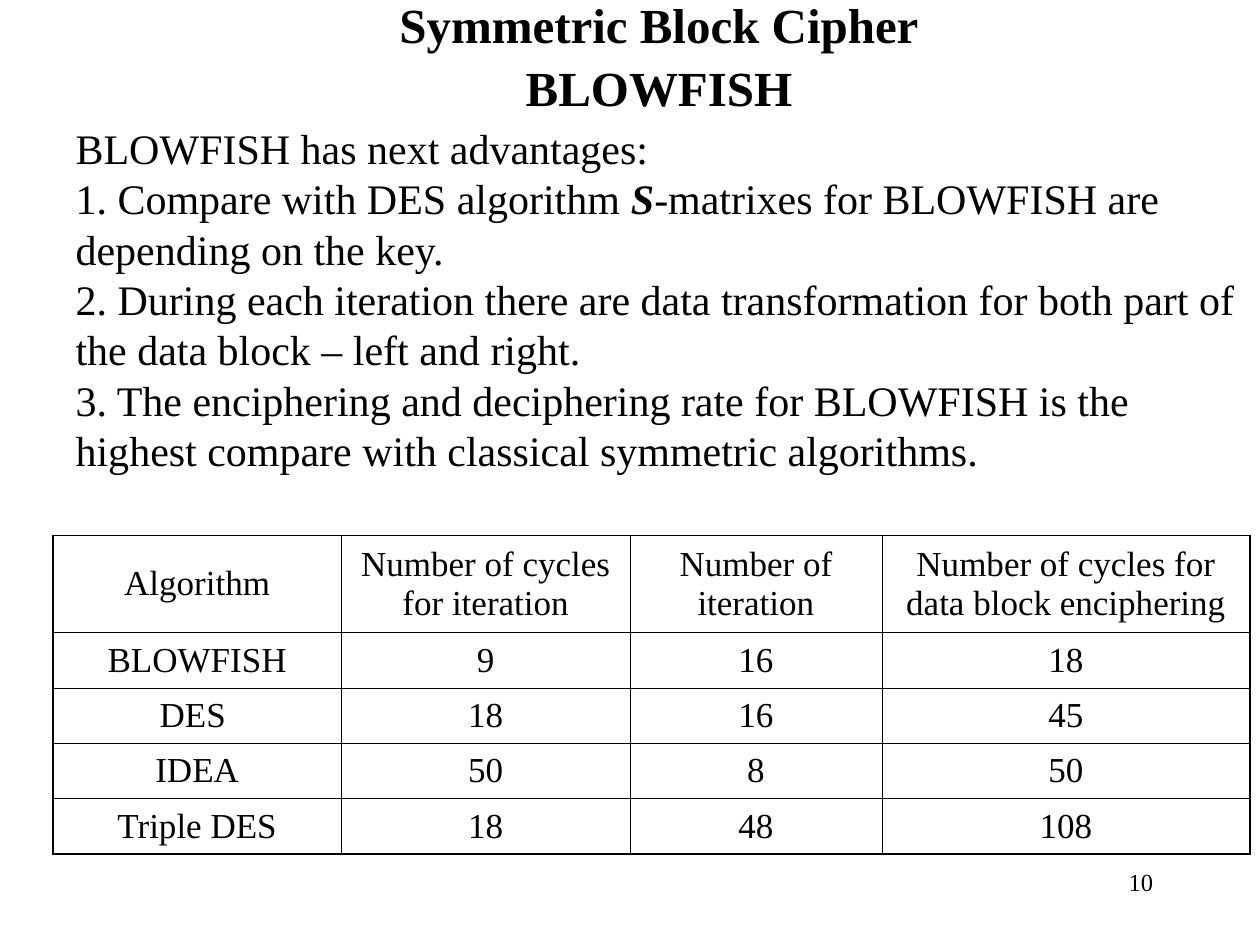
import pptx
import pptx.util
import pptx.dml.color
import pptx.enum.text
import pptx.oxml.ns
from lxml import etree

Inches, Pt = pptx.util.Inches, pptx.util.Pt
ALIGN = pptx.enum.text.PP_ALIGN
ANCHOR = pptx.enum.text.MSO_ANCHOR
qn = pptx.oxml.ns.qn

BLACK = pptx.dml.color.RGBColor(0x00, 0x00, 0x00)
FONT = "Times New Roman"
INNER_LINE, OUTER_LINE = Pt(0.45), Pt(1.08)

# Each paragraph is a list of (text, font values) runs.
BOLD = {"bold": True}
HEADING = [
    [("Symmetric Block Cipher", BOLD)],
    [("BLOWFISH", BOLD)],
]
ADVANTAGES = [
    [("BLOWFISH has next advantages:", {})],
    [("1. Compare with DES algorithm ", {}),
     ("S", {"bold": True, "italic": True}),
     ("-matrixes for BLOWFISH are depending on the key.", {})],
    [("2. During each iteration there are data transformation for both part of "
      "the data block – left and right.", {})],
    [("3. The enciphering and deciphering rate for BLOWFISH is the highest "
      "compare with classical symmetric algorithms.", {})],
]
CYCLES = [
    ["Algorithm", "Number of cycles for iteration", "Number of iteration",
     "Number of cycles for data block enciphering"],
    ["BLOWFISH", "9", "16", "18"],
    ["DES ", "18", "16", "45"],
    ["IDEA", "50", "8", "50"],
    ["Triple DES", "18", "48", "108"],
]
COLUMN_WIDTHS = [2.29, 2.29, 2, 2.92]
ROW_HEIGHTS = [0.77] + [0.44] * 4
PAGE_NUMBER = [[("10", {})]]


def place(shape, left, top, width, height):
    for side, inches in zip(("left", "top", "width", "height"),
                            (left, top, width, height)):
        setattr(shape, side, Inches(inches))


def write(frame, paragraphs, size, align, spacing=1.0, gap=0):
    """Fill a text frame; gap is the space in points between paragraphs."""
    for index, runs in enumerate(paragraphs):
        paragraph = frame.add_paragraph() if index else frame.paragraphs[0]
        layout = {"alignment": align, "line_spacing": spacing,
                  "space_before": Pt(gap if index else 0)}
        for name, value in layout.items():
            setattr(paragraph, name, value)
        for text, values in runs:
            run = paragraph.add_run()
            run.text = text
            run.font.color.rgb = BLACK
            for name, value in {"name": FONT, "size": Pt(size), **values}.items():
                setattr(run.font, name, value)


def set_frame(frame, wrap):
    for name, value in {"word_wrap": wrap, "vertical_anchor": ANCHOR.TOP,
                        "auto_size": pptx.enum.text.MSO_AUTO_SIZE.NONE}.items():
        setattr(frame, name, value)


def indent_without_bullets(frame, margin):
    for paragraph in frame.paragraphs:
        properties = paragraph._p.get_or_add_pPr()
        properties.set("marL", str(Inches(margin)))
        properties.set("indent", "0")
        etree.SubElement(properties, qn("a:buNone"))


def draw_borders(cell, outer_sides):
    properties = cell._tc.get_or_add_tcPr()
    for index, side in enumerate("LRTB"):
        width = OUTER_LINE if side in outer_sides else INNER_LINE
        line = etree.Element(qn(f"a:ln{side}"), w=str(width))
        fill = etree.SubElement(line, qn("a:solidFill"))
        etree.SubElement(fill, qn("a:srgbClr"), val=str(BLACK))
        properties.insert(index, line)


def add_cycles_table(slide, left, top):
    rows, columns = len(CYCLES), len(COLUMN_WIDTHS)
    table = slide.shapes.add_table(
        rows, columns, Inches(left), Inches(top),
        Inches(sum(COLUMN_WIDTHS)), Inches(sum(ROW_HEIGHTS))).table
    table.first_row = table.horz_banding = False
    for column, width in zip(table.columns, COLUMN_WIDTHS):
        column.width = Inches(width)
    for row, height in zip(table.rows, ROW_HEIGHTS):
        row.height = Inches(height)
    for r, values in enumerate(CYCLES):
        for c, value in enumerate(values):
            cell = table.cell(r, c)
            cell.vertical_anchor = ANCHOR.MIDDLE
            cell.fill.background()
            write(cell.text_frame, [[(value, {})]], 20, ALIGN.CENTER)
            edges = {"L": c == 0, "R": c == columns - 1,
                     "T": r == 0, "B": r == rows - 1}
            draw_borders(cell, [side for side, outer in edges.items() if outer])


def main():
    deck = pptx.Presentation()
    deck.slide_width, deck.slide_height = Inches(10), Inches(7.5)
    slide = deck.slides.add_slide(deck.slide_layouts[1])

    page_number = slide.shapes.add_textbox(0, 0, 0, 0)
    place(page_number, 7.17, 6.83, 2.08, 0.5)
    set_frame(page_number.text_frame, True)
    write(page_number.text_frame, PAGE_NUMBER, 14, ALIGN.RIGHT)

    heading = slide.shapes.title
    place(heading, 3.07, 0, 4.32, 0.97)
    set_frame(heading.text_frame, False)
    write(heading.text_frame, HEADING, 28, ALIGN.CENTER, spacing=0.8, gap=8.8)

    advantages = slide.placeholders[1]
    place(advantages, 0, 0.92, 10, 2.9)
    set_frame(advantages.text_frame, True)
    write(advantages.text_frame, ADVANTAGES, 24, ALIGN.LEFT)
    indent_without_bullets(advantages.text_frame, 0.5)

    add_cycles_table(slide, 0.42, 4.25)
    deck.save("out.pptx")


if __name__ == "__main__":
    main()
